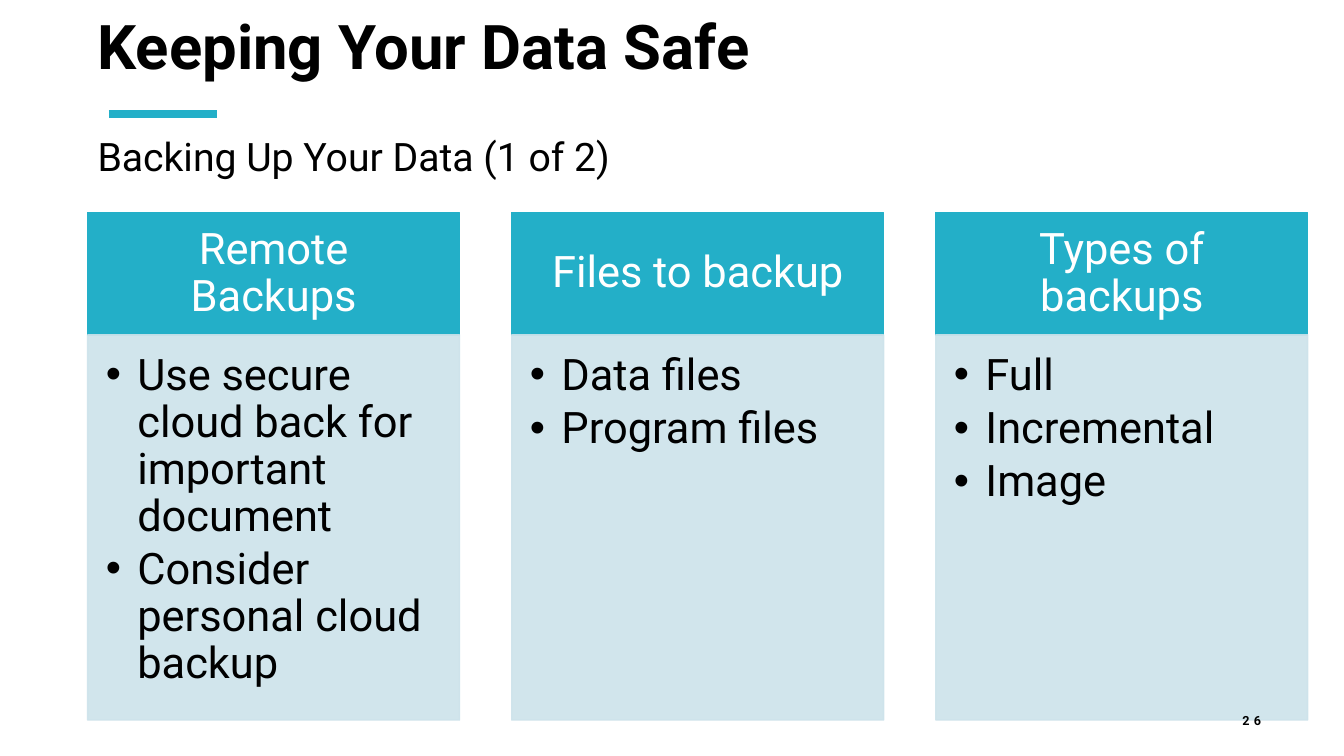
import pptx
import pptx.util
import pptx.dml.color
import pptx.enum.shapes
import pptx.enum.text
import pptx.oxml.ns
from lxml import etree

Pt = pptx.util.Pt
ALIGN = pptx.enum.text.PP_ALIGN
ANCHOR = pptx.enum.text.MSO_ANCHOR

TEAL, PALE, BLACK, WHITE = "23AFC8", "CDE3EB", "000000", "FFFFFF"
COLUMN_LEFT, COLUMN_STEP, COLUMN_WIDTH = 62.6, 302.9, 265.7
HEADER_TOP, HEADER_HEIGHT, BODY_HEIGHT = 151.8, 87.4, 275.2
COLUMN_TEXT_SIZE = 31

COLUMNS = [
    ("Remote Backups", ["Use secure cloud back for important document",
                        "Consider personal cloud backup"]),
    ("Files to backup", ["Data files", "Program files"]),
    ("Types of backups", ["Full", "Incremental", "Image"]),
]


def color(value):
    return pptx.dml.color.RGBColor.from_string(value)


def add_child(parent, tag, **attributes):
    return etree.SubElement(parent, pptx.oxml.ns.qn(tag), **attributes)


def set_frame(shape, anchor, insets):
    frame = shape.text_frame
    frame.word_wrap = True
    frame.vertical_anchor = anchor
    (frame.margin_left, frame.margin_top,
     frame.margin_right, frame.margin_bottom) = [Pt(inset) for inset in insets]
    return frame


def add_text(para, text, size, text_color, bold=False):
    span = para.add_run()
    span.text = text
    span.font.name = "Roboto"
    span.font.size = Pt(size)
    span.font.bold = bold
    span.font.color.rgb = color(text_color)
    return span


def next_para(frame, index):
    return frame.paragraphs[0] if index == 0 else frame.add_paragraph()


def add_text_box(page, left, top, width, height, anchor):
    box = page.shapes.add_textbox(Pt(left), Pt(top), Pt(width), Pt(height))
    return set_frame(box, anchor, (7.2, 3.6, 7.2, 3.6))


def add_panel(page, left, top, height, fill, opacity=100):
    panel = page.shapes.add_shape(
        pptx.enum.shapes.MSO_SHAPE.RECTANGLE,
        Pt(left), Pt(top), Pt(COLUMN_WIDTH), Pt(height))
    panel.shadow.inherit = False
    panel.fill.solid()
    panel.fill.fore_color.rgb = color(fill)
    panel.line.color.rgb = color(fill)
    panel.line.width = Pt(1)
    if opacity < 100:
        for tone in panel._element.spPr.iter(pptx.oxml.ns.qn("a:srgbClr")):
            add_child(tone, "a:alpha", val=str(opacity * 1000))
    return panel


def add_bullet(para):
    properties = para._p.get_or_add_pPr()
    properties.set("marL", str(Pt(22.5)))
    properties.set("indent", str(-Pt(22.5)))
    add_child(properties, "a:buFont", typeface="Arial")
    add_child(properties, "a:buChar", char="•")


def add_column(page, left, heading, items):
    header = add_panel(page, left, HEADER_TOP, HEADER_HEIGHT, TEAL)
    frame = set_frame(header, ANCHOR.MIDDLE, (17.3, 10, 17.3, 10))
    para = frame.paragraphs[0]
    para.alignment = ALIGN.CENTER
    para.line_spacing = 0.9
    add_text(para, heading, COLUMN_TEXT_SIZE, WHITE)

    body = add_panel(page, left, HEADER_TOP + HEADER_HEIGHT, BODY_HEIGHT, PALE, 90)
    frame = set_frame(body, ANCHOR.TOP, (13, 13, 17.3, 19.4))
    for index, item in enumerate(items):
        para = next_para(frame, index)
        para.alignment = ALIGN.LEFT
        para.line_spacing = 0.9
        para.space_after = Pt(4.5)
        add_bullet(para)
        add_text(para, item, COLUMN_TEXT_SIZE, BLACK)


def add_accent_line(page, left, right, y):
    line = page.shapes.add_connector(
        pptx.enum.shapes.MSO_CONNECTOR.STRAIGHT, Pt(left), Pt(y), Pt(right), Pt(y))
    line.line.color.rgb = color(TEAL)
    line.line.width = Pt(6)
    add_child(line._element.spPr, "a:effectLst")


def add_title(page, title, subtitle):
    frame = add_text_box(page, 62.6, 2, 777.6, 126, ANCHOR.TOP)
    add_text(next_para(frame, 0), title, 44, BLACK, bold=True)
    para = next_para(frame, 1)
    para.space_before = Pt(36)
    add_text(para, subtitle, 28, BLACK)


def add_page_number(page, number):
    frame = add_text_box(page, 851, 500.4, 56.9, 28.8, ANCHOR.MIDDLE)
    para = frame.paragraphs[0]
    para.alignment = ALIGN.RIGHT
    span = add_text(para, number, 9, BLACK, bold=True)
    span.font._element.set("spc", "300")


def main():
    deck = pptx.Presentation()
    deck.slide_width, deck.slide_height = Pt(960), Pt(540)
    page = deck.slides.add_slide(deck.slide_layouts[6])

    # Title area
    add_accent_line(page, 77.8, 154.8, 81.4)
    add_title(page, "Keeping Your Data Safe", "Backing Up Your Data (1 of 2)")

    # Three columns
    for index, (heading, items) in enumerate(COLUMNS):
        add_column(page, COLUMN_LEFT + index * COLUMN_STEP, heading, items)

    # Footer
    add_page_number(page, "26")
    deck.save("out.pptx")


if __name__ == "__main__":
    main()
